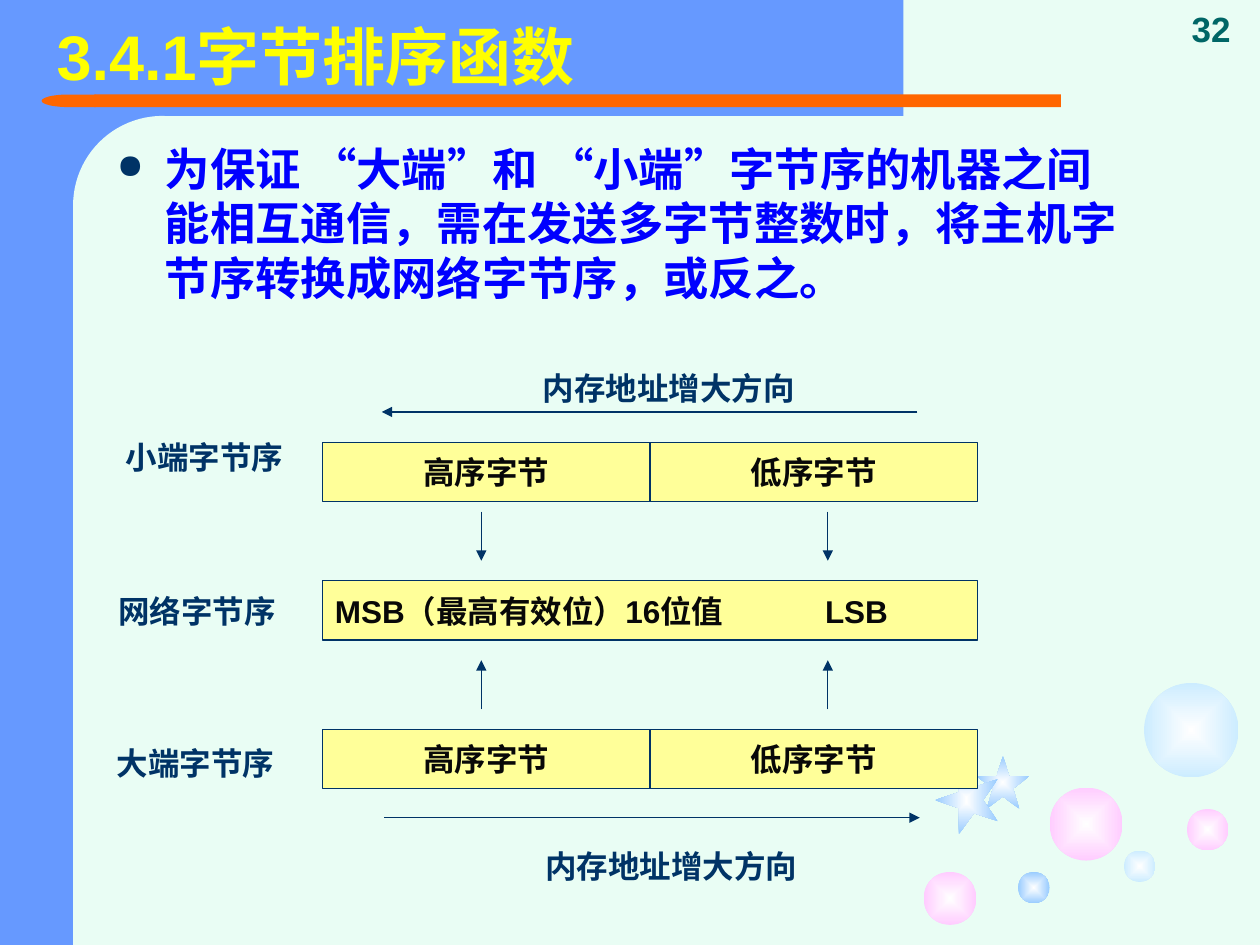
from lxml import etree
from pptx import Presentation
from pptx.dml.color import RGBColor
from pptx.enum import shapes as kinds, text as enums
from pptx.oxml import parse_xml
from pptx.oxml.ns import nsdecls, qn
from pptx.util import Inches, Pt

MINT = RGBColor(0xE9, 0xFD, 0xF4)
BLUE = RGBColor(0x66, 0x99, 0xFF)
ORANGE = RGBColor(0xFF, 0x66, 0x00)
NAVY = RGBColor(0x00, 0x33, 0x66)
YELLOW = RGBColor(0xFF, 0xFF, 0x00)
CREAM = RGBColor(0xFF, 0xFF, 0x99)
BLACK = RGBColor(0x08, 0x08, 0x08)
INK = RGBColor(0x00, 0x00, 0xFF)
TEAL = RGBColor(0x00, 0x66, 0x66)
PINK = RGBColor(0xFF, 0xCC, 0xFF)
PALE = RGBColor(0xCC, 0xEC, 0xFF)
SKY = RGBColor(0x99, 0xCC, 0xFF)

SHAPE = kinds.MSO_SHAPE
ALIGN = enums.PP_ALIGN
ANCHOR = enums.MSO_ANCHOR


def write(shape, words, size=18, color=NAVY, align=ALIGN.LEFT,
          anchor=ANCHOR.TOP, wrap=False, bullet=False, tab=None):
    frame = shape.text_frame
    frame.auto_size = enums.MSO_AUTO_SIZE.NONE
    frame.word_wrap = wrap
    frame.vertical_anchor = anchor
    frame.text = words
    para = frame.paragraphs[0]
    para.alignment = align
    props = para._p.get_or_add_pPr()
    if bullet:
        props.set("marL", str(Inches(0.38)))
        props.set("indent", str(Inches(-0.38)))
        tint = etree.SubElement(props, qn("a:buClr"))
        etree.SubElement(tint, qn("a:srgbClr"), val=str(NAVY))
        etree.SubElement(props, qn("a:buSzPct"), val="75000")
        etree.SubElement(props, qn("a:buChar"), char="●")
    if tab:
        stops = etree.SubElement(props, qn("a:tabLst"))
        etree.SubElement(stops, qn("a:tab"), pos=str(Inches(tab)), algn="l")
    font = para.runs[0].font
    font.name, font.size, font.bold = "Arial", Pt(size), True
    font.color.rgb = color
    return para


def draw(kind, x, y, w, h, color, glow=False):
    """Add a plain shape; glow fades it from white at its centre to color."""
    shape = slide.shapes.add_shape(kind, Inches(x), Inches(y), Inches(w), Inches(h))
    shape.shadow.inherit = False
    shape.line.fill.background()
    if glow:
        shape._element.spPr.find(qn("a:prstGeom")).addnext(parse_xml(
            f'<a:gradFill {nsdecls("a")} rotWithShape="1"><a:gsLst>'
            '<a:gs pos="0"><a:srgbClr val="FFFFFF"/></a:gs>'
            f'<a:gs pos="100000"><a:srgbClr val="{color}"/></a:gs></a:gsLst>'
            '<a:path path="rect"><a:fillToRect l="50000" t="50000" r="50000" '
            'b="50000"/></a:path></a:gradFill>'))
    else:
        shape.fill.solid()
        shape.fill.fore_color.rgb = color
    return shape


deck = Presentation()
deck.slide_width, deck.slide_height = Inches(10), Inches(7.5)
slide = deck.slides.add_slide(deck.slide_layouts[5])
slide.background.fill.solid()
slide.background.fill.fore_color.rgb = MINT

# Frame
draw(SHAPE.RECTANGLE, 0, 0, 1.25, 7.5, BLUE)
draw(SHAPE.RECTANGLE, 0.5, 0, 6.67, 0.92, BLUE)
panel = draw(SHAPE.ROUNDED_RECTANGLE, 0.58, 0.92, 1.42, 5.75, MINT)
panel.adjustments[0] = 0.5
draw(SHAPE.RECTANGLE, 0.75, 0.75, 7.67, 0.1, ORANGE)
draw(SHAPE.FLOWCHART_DELAY, 0.33, 0.75, 0.43, 0.1, ORANGE).rotation = 180
draw(SHAPE.RECTANGLE, 0.58, 5.92, 1.42, 1.58, MINT)

# Bubbles and stars
for x, y, size, color in [
    (8.33, 6.25, 0.58, PINK),
    (7.33, 6.92, 0.42, PINK),
    (8.92, 6.75, 0.25, PALE),
    (9.42, 6.42, 0.33, PINK),
    (9.08, 5.42, 0.75, PALE),
    (8.08, 6.92, 0.25, SKY),
]:
    draw(SHAPE.OVAL, x, y, size, size, color, glow=True)
draw(SHAPE.STAR_5_POINT, 7.75, 6, 0.42, 0.42, SKY, glow=True)
draw(SHAPE.STAR_5_POINT, 7.4, 6.1, 0.54, 0.5, SKY, glow=True).rotation = 270

# Title, brought in front of the frame
title = slide.shapes.title
title.left, title.top = Inches(0.35), Inches(0.21)
title.width, title.height = Inches(8.52), Inches(0.53)
write(title, "3.4.1字节排序函数", size=36, color=YELLOW,
      anchor=ANCHOR.MIDDLE, wrap=True).line_spacing = 0.9
slide.shapes._spTree.append(title._element)

# Text and labels
ADDRESS = "内存地址增大方向"
for x, y, w, h, words, style in [
    (0.83, 1.07, 8.25, 1.43,
     "为保证 “大端”和 “小端”字节序的机器之间能相互通信，"
     "需在发送多字节整数时，将主机字节序转换成网络字节序，或反之。",
     dict(size=25.9, color=INK, wrap=True, bullet=True)),
    (4.21, 2.88, 2.2, 0.4, ADDRESS, {}),
    (4.23, 6.67, 2.2, 0.4, ADDRESS, {}),
    (0.9, 3.43, 1.45, 0.4, "小端字节序", {}),
    (0.84, 4.65, 1.45, 0.4, "网络字节序", {}),
    (0.83, 5.86, 1.45, 0.4, "大端字节序", {}),
    (9.36, 0, 0.64, 0.44, "32",
     dict(size=20, color=TEAL, anchor=ANCHOR.BOTTOM, wrap=True)),
]:
    box = slide.shapes.add_textbox(Inches(x), Inches(y), Inches(w), Inches(h))
    write(box, words, **style)

# Byte cells
LEFT, HALF, TALL = 2.56, 2.6, 0.47
cells = [(LEFT + HALF * col, y, HALF, words, dict(align=ALIGN.CENTER))
         for y in (3.51, 5.79)
         for col, words in enumerate(["高序字节", "低序字节"])]
cells.append((LEFT, 4.61, 2 * HALF, "MSB（最高有效位）16位值\tLSB",
              dict(wrap=True, tab=3.89)))
for x, y, w, words, style in cells:
    cell = draw(SHAPE.RECTANGLE, x, y, w, TALL, CREAM)
    cell.line.color.rgb, cell.line.width = NAVY, Pt(0.75)
    write(cell, words, color=BLACK, anchor=ANCHOR.MIDDLE, **style)

# Arrows
arrows = [(7.28, 3.27, 3.03, 3.27), (3.05, 6.49, 7.3, 6.49)]
for x in (3.82, 6.57):
    arrows += [(x, 4.06, x, 4.45), (x, 5.63, x, 5.24)]
for ends in arrows:
    arrow = slide.shapes.add_connector(
        kinds.MSO_CONNECTOR.STRAIGHT, *[Inches(end) for end in ends])
    arrow.line.color.rgb, arrow.line.width = NAVY, Pt(0.75)
    etree.SubElement(arrow.line._get_or_add_ln(), qn("a:tailEnd"), type="triangle")
    etree.SubElement(arrow._element.spPr, qn("a:effectLst"))

deck.save("out.pptx")
